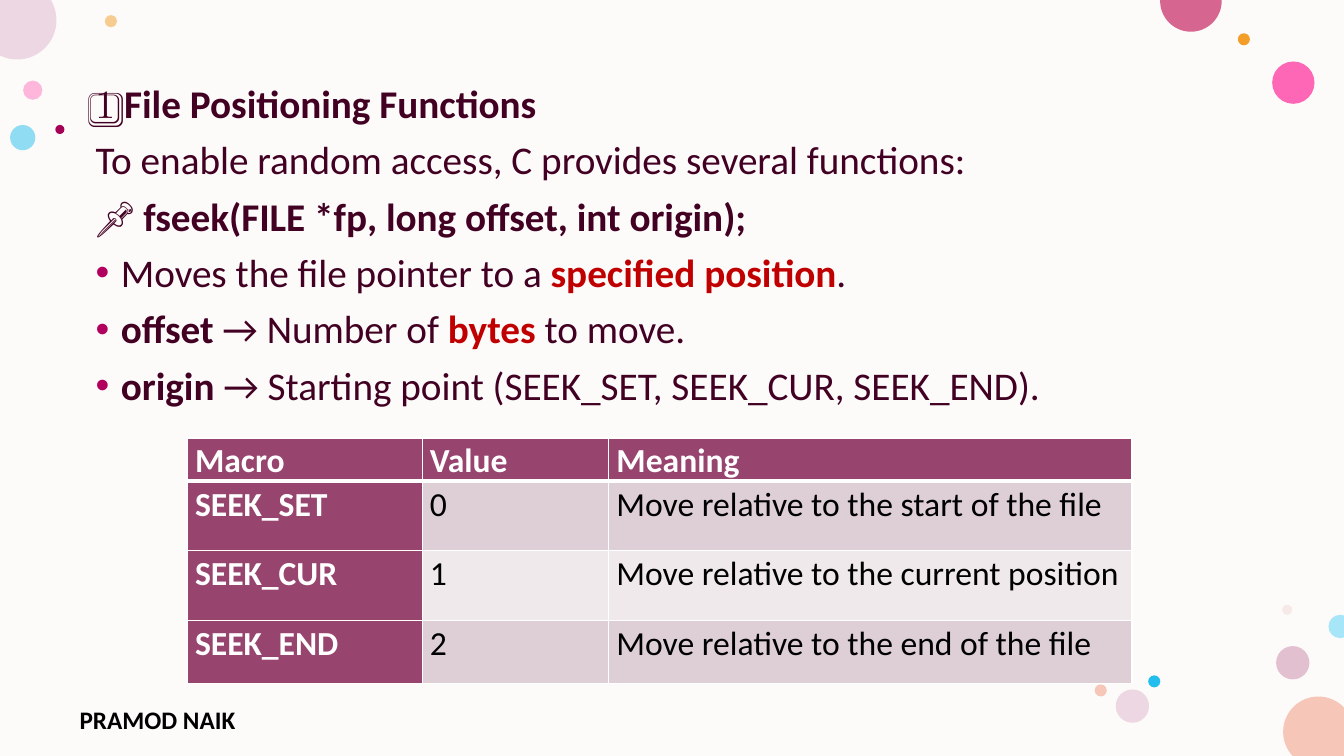
from dataclasses import dataclass
from math import acos, asin, cos, pi, sin, tan, tau

from lxml.etree import SubElement
from pptx import Presentation
from pptx.dml.color import RGBColor
from pptx.enum.shapes import MSO_SHAPE as Preset
from pptx.oxml.ns import qn
from pptx.util import Inches, Pt

FONT = "Calibri"
PAPER = RGBColor(0xFD, 0xFB, 0xF9)
WHITE = RGBColor(0xFF, 0xFF, 0xFF)
BLACK = RGBColor(0x00, 0x00, 0x00)
PLUM = RGBColor(0x42, 0x00, 0x23)
RED = RGBColor(0xC0, 0x00, 0x00)
BULLET = RGBColor(0xB1, 0x00, 0x5E)
HEADER = RGBColor(0x97, 0x44, 0x6E)
BAND_DARK = RGBColor(0xDD, 0xCF, 0xD5)
BAND_LIGHT = RGBColor(0xEF, 0xE9, 0xEB)
PINK = RGBColor(0xFF, 0x75, 0xBD)
HOT_PINK = RGBColor(0xFF, 0x2F, 0x9C)
ORANGE = RGBColor(0xF3, 0x9E, 0x29)
MAUVE = RGBColor(0xC9, 0x87, 0xA8)
BLUE = RGBColor(0x24, 0xBE, 0xEE)
PALE_BLUE = RGBColor(0xA7, 0xE5, 0xF8)
DUSTY = RGBColor(0xE3, 0xBE, 0xBE)
LILAC = RGBColor(0xED, 0xD7, 0xE2)
PEACH = RGBColor(0xF6, 0xC7, 0xB9)
ROSE = RGBColor(0xD6, 0x65, 0x8F)
BERRY = RGBColor(0xA4, 0x00, 0x56)
PAGE_WIDTH, PAGE_HEIGHT = Inches(13.333), Inches(7.5)


def across(percent: float) -> int:
    """Share of the slide's width, in percent."""
    return round(PAGE_WIDTH * percent / 100)


def down(percent: float) -> int:
    """Share of the slide's height, in percent."""
    return round(PAGE_HEIGHT * percent / 100)


@dataclass
class Dot:
    """Centre in percent of width and height, diameter in percent of width."""
    x: float
    y: float
    diameter: float
    color: RGBColor
    opacity: int = 100


@dataclass
class Span:
    text: str
    bold: bool = False
    color: RGBColor = PLUM


@dataclass
class Line:
    spans: list[Span]
    bullet: bool = False


DOTS = [
    Dot(2.44, 11.93, 1.43, PINK, 50),
    Dot(8.25, 2.8, 0.9, ORANGE, 50),
    Dot(96.19, 87.67, 2.48, MAUVE, 50),
    Dot(1.69, 18.2, 1.88, BLUE, 50),
    Dot(96.23, 10.93, 3.15, HOT_PINK, 72),
    Dot(92.55, 5.2, 0.9, ORANGE),
    Dot(95.78, 80.67, 0.75, DUSTY, 28),
    Dot(85.88, 90.13, 0.9, BLUE),
    Dot(84.26, 93.4, 2.48, LILAC),
    Dot(81.9, 91.33, 0.9, PEACH),
    Dot(98.1, 96.8, 5.25, PEACH),
    Dot(1.28, 2.67, 5.85, LILAC),
    Dot(88.61, 0.13, 4.58, ROSE),
    Dot(4.46, 17.13, 0.68, BERRY),
    Dot(99.71, 82.87, 1.73, PALE_BLUE),
]
LINES = [
    Line([Span("1️⃣ File Positioning Functions", True)]),
    Line([Span("To enable random access, C provides several functions:")]),
    Line([Span("📌 fseek(FILE *fp, long offset, int origin);", True)]),
    Line([Span("Moves the file pointer to a "),
          Span("specified position", True, RED), Span(".")], bullet=True),
    Line([Span("offset", True), Span(" → Number of "),
          Span("bytes", True, RED), Span(" to move.")], bullet=True),
    Line([Span("origin", True),
          Span(" → Starting point (SEEK_SET, SEEK_CUR, SEEK_END).")], bullet=True),
]
MACROS = [
    ("Macro", "Value", "Meaning"),
    ("SEEK_SET", "0", "Move relative to the start of the file"),
    ("SEEK_CUR", "1", "Move relative to the current position"),
    ("SEEK_END", "2", "Move relative to the end of the file"),
]
COLUMN_WIDTHS = (17.48, 13.88, 38.93)
ROW_HEIGHTS = (4.53, 9.2, 9.2, 8.4)


def add_span(para, text: str, *, size: float, color: RGBColor, bold: bool = False) -> None:
    span = para.add_run()
    span.text = text
    span.font.name, span.font.size, span.font.bold = FONT, Pt(size), bold
    span.font.color.rgb = color


def add_box(page, x: float, y: float, width: float, height: float):
    box = page.shapes.add_textbox(across(x), down(y), across(width), down(height))
    box.text_frame.word_wrap = True
    return box.text_frame


def paint(shape, color: RGBColor, opacity: int = 100) -> None:
    shape.shadow.inherit = False
    shape.line.fill.background()
    shape.fill.solid()
    shape.fill.fore_color.rgb = color
    if opacity < 100:
        node = shape._element.spPr.find(f".//{qn('a:srgbClr')}")
        SubElement(node, qn("a:alpha"), val=str(opacity * 1000))


def clamp(x: float, y: float) -> tuple[int, int]:
    """Nearest point on the slide."""
    return min(max(round(x), 0), PAGE_WIDTH), min(max(round(y), 0), PAGE_HEIGHT)


def add_cut_circle(page, x: int, y: int, radius: float):
    """Draw the part of a circle that lies on the slide, its arcs as Bézier curves."""
    def at(angle: float, pull: float = 0) -> tuple[float, float]:
        return (x + radius * (cos(angle) - pull * sin(angle)),
                y + radius * (sin(angle) + pull * cos(angle)))

    angles = [quarter * pi / 2 for quarter in range(5)]
    for ratio in ((0 - x) / radius, (PAGE_WIDTH - x) / radius):
        if abs(ratio) < 1:
            angles += [acos(ratio), tau - acos(ratio)]
    for ratio in ((0 - y) / radius, (PAGE_HEIGHT - y) / radius):
        if abs(ratio) < 1:
            angles += [asin(ratio) % tau, pi - asin(ratio)]
    angles.sort()

    points, curved = [], []
    for start, end in zip(angles, angles[1:]):
        middle_x, middle_y = at((start + end) / 2)
        visible = 0 <= middle_x <= PAGE_WIDTH and 0 <= middle_y <= PAGE_HEIGHT
        pull = 4 / 3 * tan((end - start) / 4)
        if visible:
            points += [clamp(*at(start, pull)), clamp(*at(end, -pull))]
        points.append(clamp(*at(end)))
        curved.append(visible)

    builder = page.shapes.build_freeform(*clamp(*at(0)))
    builder.add_line_segments(points, close=True)
    shape = builder.convert_to_shape()
    segments = iter(shape._element.findall(f".//{qn('a:lnTo')}"))
    for visible in curved:
        segment = next(segments)
        if visible:
            segment.tag = qn("a:cubicBezTo")
            for other in (next(segments), next(segments)):
                segment.append(other[0])
                other.getparent().remove(other)
    return shape


def add_dot(page, dot: Dot) -> None:
    x, y, size = across(dot.x), down(dot.y), across(dot.diameter)
    radius = size // 2
    if radius <= x <= PAGE_WIDTH - radius and radius <= y <= PAGE_HEIGHT - radius:
        shape = page.shapes.add_shape(Preset.OVAL, x - radius, y - radius, size, size)
    else:
        shape = add_cut_circle(page, x, y, radius)
    paint(shape, dot.color, dot.opacity)


def add_bullet(para) -> None:
    props = para._p.get_or_add_pPr()
    props.set("marL", str(Inches(0.25)))
    props.set("indent", str(-Inches(0.25)))
    SubElement(SubElement(props, qn("a:buClr")), qn("a:srgbClr"), val=str(BULLET))
    SubElement(props, qn("a:buFont"), typeface="Arial")
    SubElement(props, qn("a:buChar"), char="•")


def add_lines(page) -> None:
    frame = add_box(page, 6.38, 10.53, 87.45, 79.6)
    for index, line in enumerate(LINES):
        para = frame.add_paragraph() if index else frame.paragraphs[0]
        para.line_spacing, para.space_before = 0.9, Pt(10)
        if line.bullet:
            add_bullet(para)
        for span in line.spans:
            add_span(para, span.text, size=28, color=span.color, bold=span.bold)


def add_borders(cell, top: float, bottom: float) -> None:
    props = cell._tc.get_or_add_tcPr()
    for side, width in (("L", 1), ("R", 1), ("T", top), ("B", bottom)):
        border = SubElement(props, qn(f"a:ln{side}"), w=str(Pt(width)))
        SubElement(SubElement(border, qn("a:solidFill")), qn("a:srgbClr"), val=str(WHITE))


def add_macro_table(page) -> None:
    table = page.shapes.add_table(
        len(ROW_HEIGHTS), len(COLUMN_WIDTHS), across(13.95), down(57.95),
        across(sum(COLUMN_WIDTHS)), down(sum(ROW_HEIGHTS))).table
    for column, width in zip(table.columns, COLUMN_WIDTHS):
        column.width = across(width)
    for row, height in zip(table.rows, ROW_HEIGHTS):
        row.height = down(height)
    for r, texts in enumerate(MACROS):
        for c, text in enumerate(texts):
            cell = table.cell(r, c)
            heading = r == 0 or c == 0
            cell.margin_left = cell.margin_right = Pt(5.4)
            cell.margin_top = cell.margin_bottom = 0
            add_borders(cell, top=3 if r == 1 else 1, bottom=3 if r == 0 else 1)
            cell.fill.solid()
            band = BAND_DARK if r % 2 else BAND_LIGHT
            cell.fill.fore_color.rgb = HEADER if heading else band
            para = cell.text_frame.paragraphs[0]
            para.line_spacing, para.space_after = 1.07, Pt(8)
            add_span(para, text, size=24, color=WHITE if heading else BLACK, bold=heading)


deck = Presentation()
deck.slide_width, deck.slide_height = PAGE_WIDTH, PAGE_HEIGHT
page = deck.slides.add_slide(deck.slide_layouts[6])
paint(page.shapes.add_shape(Preset.RECTANGLE, 0, 0, PAGE_WIDTH, PAGE_HEIGHT), PAPER)
for dot in DOTS:
    add_dot(page, dot)
footer = add_box(page, 5.18, 92.53, 18.38, 4.27)
add_span(footer.paragraphs[0], "PRAMOD NAIK", size=18, color=BLACK, bold=True)
add_lines(page)
add_macro_table(page)
deck.save("out.pptx")
